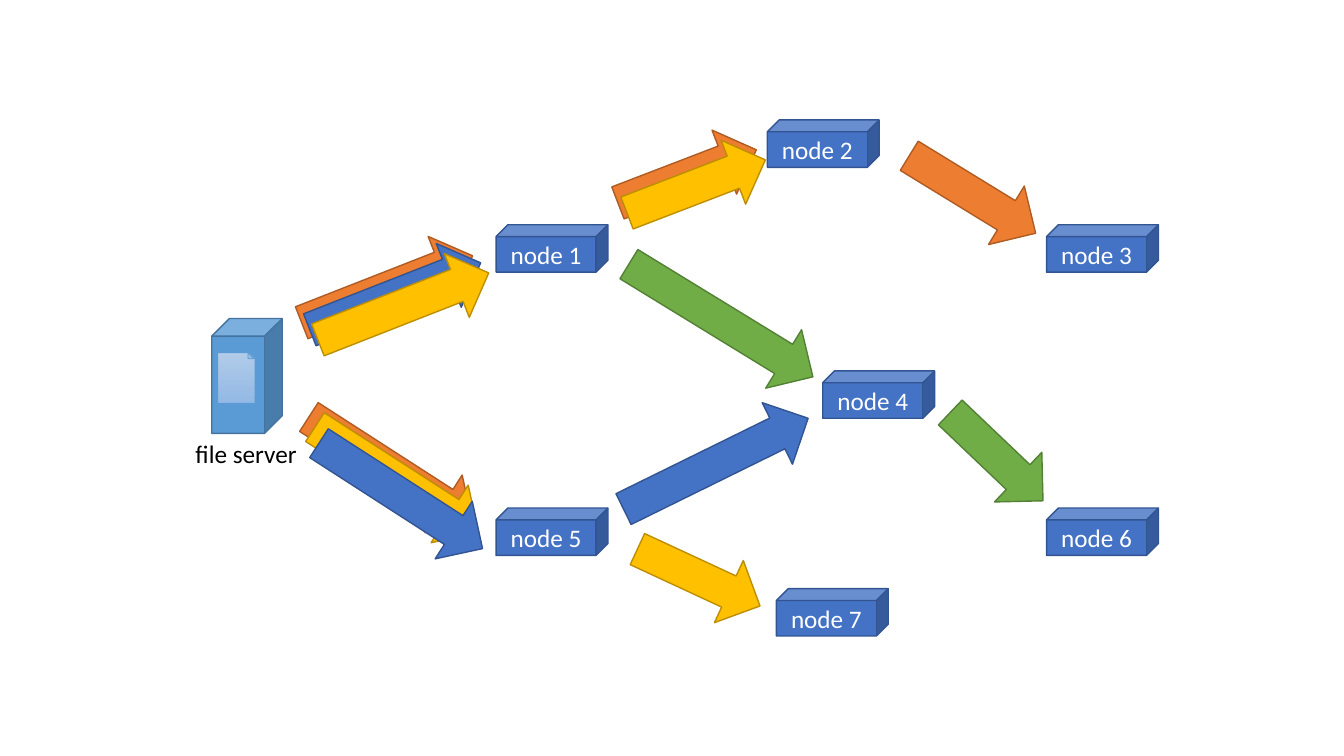
import pptx
import pptx.util
import pptx.dml.color
import pptx.enum.shapes
import pptx.enum.text

Inches, Pt = pptx.util.Inches, pptx.util.Pt
SHAPE = pptx.enum.shapes.MSO_SHAPE
ORANGE, BLUE = ("ED7D31", "AF5C24"), ("4472C4", "325491")
GREEN, GOLD = ("70AD47", "538035"), ("FFC000", "BD8E00")
SERVER_BLUE = ("5B9BD5", "43739E")

prs = pptx.Presentation()
prs.slide_width, prs.slide_height = Inches(13.33), Inches(7.5)
slide = prs.slides.add_slide(prs.slide_layouts[6])


def add_filled(kind, x, y, w, h, colors, line_width=1):
    """Add a shape; colors is its fill and its line, or two gradient stops and its line."""
    s = slide.shapes.add_shape(kind, Inches(x), Inches(y), Inches(w), Inches(h))
    s.shadow.inherit = False
    *fills, line = [pptx.dml.color.RGBColor.from_string(c) for c in colors]
    if len(fills) == 1:
        s.fill.solid()
        s.fill.fore_color.rgb = fills[0]
    else:
        s.fill.gradient()
        s.fill.gradient_angle = 270
        for stop, color in zip(s.fill.gradient_stops, fills):
            stop.color.rgb = color
    s.line.color.rgb = line
    s.line.width = Pt(line_width)
    return s


def add_label(p, text, color):
    r = p.add_run()
    r.text = text
    r.font.name = "Calibri"
    r.font.size = Pt(18)
    r.font.color.rgb = pptx.dml.color.RGBColor.from_string(color)


add_filled(SHAPE.CUBE, 2.1, 3.16, 0.7, 1.14, SERVER_BLUE)

nodes = [
    ("node 1", 4.92, 2.23),
    ("node 2", 7.61, 1.19),
    ("node 3", 10.38, 2.23),
    ("node 4", 8.16, 3.68),
    ("node 5", 4.92, 5.04),
    ("node 6", 10.38, 5.04),
    ("node 7", 7.7, 5.84),
]
for name, x, y in nodes:
    s = add_filled(SHAPE.CUBE, x, y, 1.11, 0.47, BLUE)
    tf = s.text_frame
    tf.vertical_anchor = pptx.enum.text.MSO_ANCHOR.MIDDLE
    p = tf.paragraphs[0]
    p.alignment = pptx.enum.text.PP_ALIGN.CENTER
    add_label(p, name, "FFFFFF")

# Left, top, length, rotation and colours, from back to front
arrows = [
    (2.93, 2.53, 1.82, 338.6, ORANGE),
    (6.08, 1.41, 1.47, 339, ORANGE),
    (8.91, 1.59, 1.47, 31.5, ORANGE),
    (2.91, 4.32, 1.93, 32.8, ORANGE),
    (6.08, 4.26, 2.04, 333.8, BLUE),
    (9.25, 4.19, 1.27, 43.6, GREEN),
    (3.01, 2.6, 1.82, 338.6, BLUE),
    (6.17, 1.51, 1.47, 339, GOLD),
    (6.08, 2.84, 2.14, 31.5, GREEN),
    (2.97, 4.42, 1.93, 32.8, GOLD),
    (3.01, 4.58, 1.93, 32.8, BLUE),
    (6.26, 5.39, 1.34, 24.9, GOLD),
    (3.09, 2.7, 1.82, 338.6, GOLD),
]
for x, y, length, rotation, colors in arrows:
    s = add_filled(SHAPE.RIGHT_ARROW, x, y, length, 0.68, colors)
    s.rotation = rotation

s = slide.shapes.add_textbox(Inches(1.84), Inches(4.3), Inches(1.22), Inches(0.4))
tf = s.text_frame
tf.word_wrap = False
tf.auto_size = pptx.enum.text.MSO_AUTO_SIZE.SHAPE_TO_FIT_TEXT
add_label(tf.paragraphs[0], "file server", "000000")

# File icon on the server: a page with a folded corner
paper = ("B1CBE9", "93B9E4", "5B9BD5")
page = add_filled(SHAPE.SNIP_1_RECTANGLE, 2.16, 3.5, 0.37, 0.5, paper, 0.5)
page.adjustments[0] = 0.16
add_filled(SHAPE.RIGHT_TRIANGLE, 2.46, 3.5, 0.06, 0.06, paper, 0.5)

prs.save("out.pptx")
